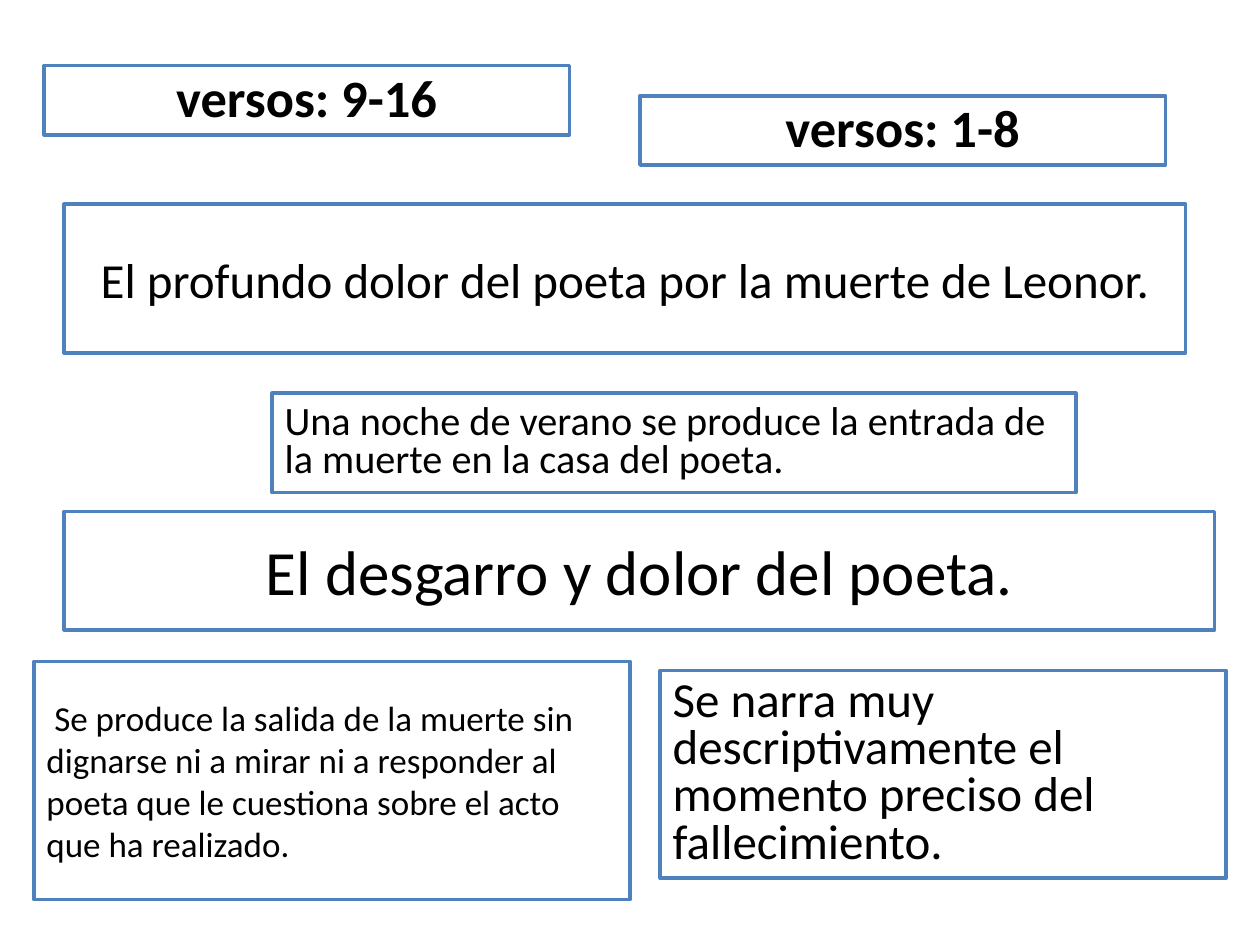
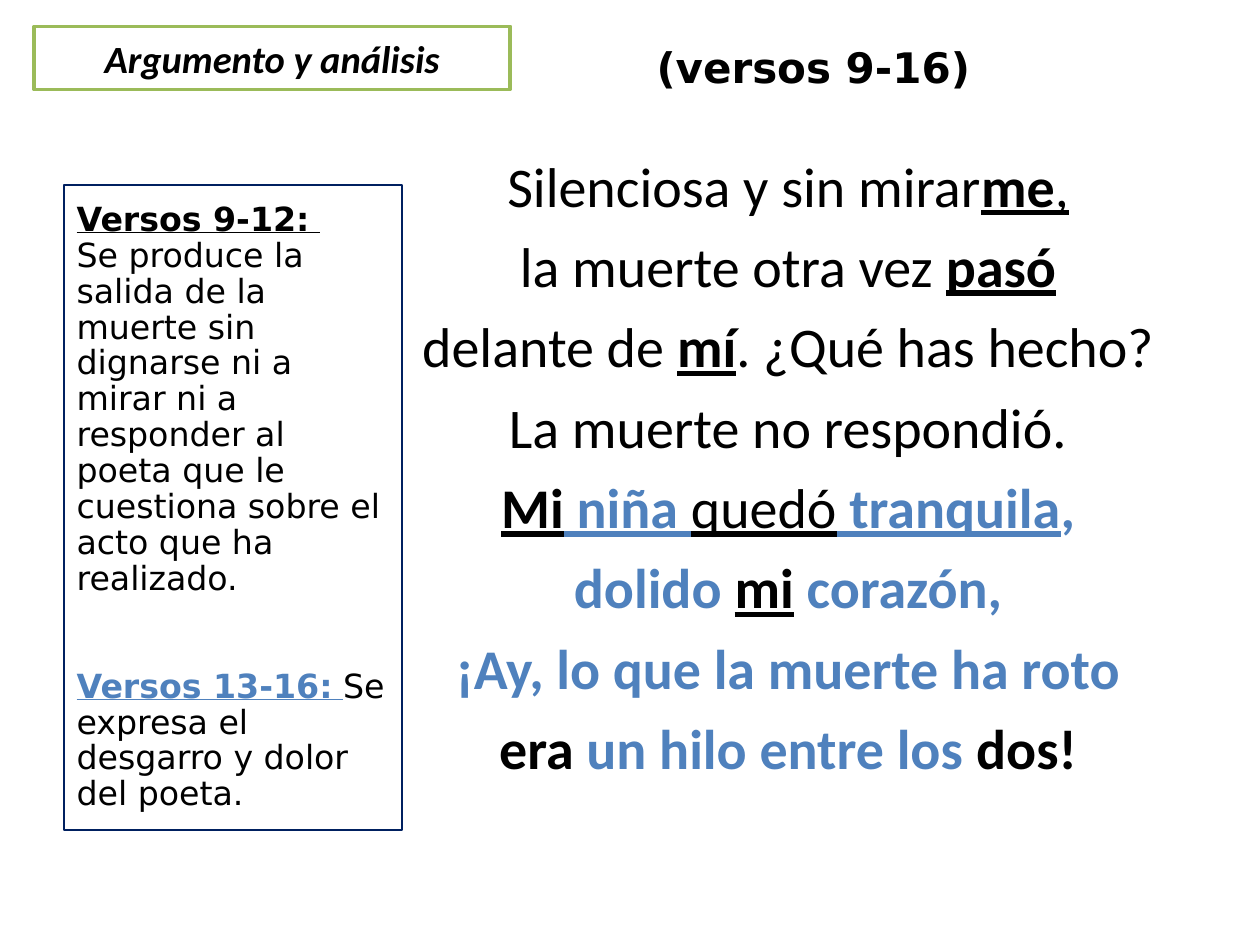
from dataclasses import dataclass

from pptx import Presentation
from pptx.dml.color import RGBColor as RGB
from pptx.enum.shapes import MSO_SHAPE as SHAPE
from pptx.enum.text import MSO_ANCHOR as ANCHOR
from pptx.enum.text import MSO_AUTO_SIZE as FIT
from pptx.enum.text import PP_ALIGN as ALIGN
from pptx.util import Inches, Pt


@dataclass(frozen=True)
class Theme:
    ink: str = "000000"
    paper: str = "FFFFFF"
    blue: str = "4F81BD"
    green: str = "9BBB59"
    navy: str = "002060"
    sans: str = "Calibri"
    wide: str = "DejaVu Sans"
    small: int = 19
    body: int = 20
    title: int = 22
    note: int = 23
    label: int = 24
    large: int = 28
    head: int = 30
    verse: int = 32
    huge: int = 36


THEME = Theme()
WIDTH, HEIGHT = Inches(10), Inches(7.5)
COLS, ROWS = 100, 75
LEFT, MID = ALIGN.LEFT, ALIGN.CENTER


def place(cell):
    """Turn (column, row, columns, rows) into slide lengths."""
    col, row, wide, high = cell
    return (round(WIDTH * col / COLS), round(HEIGHT * row / ROWS),
            round(WIDTH * wide / COLS), round(HEIGHT * high / ROWS))


def apply(target, values):
    for name, value in values.items():
        setattr(target, name, value)


def paint(shape, fill=None, line=None, weight=2):
    if fill:
        shape.fill.solid()
        shape.fill.fore_color.rgb = RGB.from_string(fill)
    else:
        shape.fill.background()
    if line:
        shape.line.color.rgb = RGB.from_string(line)
        shape.line.width = Pt(weight)
    else:
        shape.line.fill.background()


def write(shape, paras, size, face=THEME.sans, marks="", align=LEFT,
          anchor=ANCHOR.MIDDLE, pitch=1.0, gaps=None):
    """Fill a shape; marks are b(old), i(talic), u(nderline), a(ccent)."""
    frame = shape.text_frame
    apply(frame, {"word_wrap": True, "auto_size": FIT.NONE,
                  "vertical_anchor": anchor})
    for index, runs in enumerate(paras):
        para = frame.add_paragraph() if index else frame.paragraphs[0]
        gap = (gaps or {}).get(index, 0)
        apply(para, {"alignment": align, "line_spacing": pitch,
                     "space_before": Pt(gap), "space_after": Pt(0)})
        for text, extra in runs:
            run = para.add_run()
            run.text = text
            style = marks + extra
            apply(run.font, {"name": face, "size": Pt(size),
                             "bold": "b" in style, "italic": "i" in style,
                             "underline": "u" in style})
            tint = THEME.blue if "a" in style else THEME.ink
            run.font.color.rgb = RGB.from_string(tint)


def add_box(slide, cell, paras, size, fill=THEME.paper, line=THEME.blue,
            weight=2, **style):
    box = slide.shapes.add_shape(SHAPE.RECTANGLE, *place(cell))
    box.shadow.inherit = False
    paint(box, fill, line, weight)
    write(box, paras, size, **style)


def add_text(slide, cell, paras, size, fill=None, **style):
    box = slide.shapes.add_textbox(*place(cell))
    paint(box, fill)
    write(box, paras, size, anchor=ANCHOR.TOP, **style)


def add_title(slide, cell, text):
    title = slide.shapes.title
    names = ("left", "top", "width", "height")
    apply(title, dict(zip(names, place(cell))))
    paint(title, THEME.paper, THEME.green)
    write(title, [[(text, "")]], THEME.title, marks="bi", align=MID)


# Summary cards: cell, text, size, format
HEAD = {"marks": "b", "align": MID, "pitch": 0.9}
WIDE = {"align": MID}
TIGHT = {"pitch": 0.8}
CARDS = [
    ((50.8, 7.6, 41.7, 5.5), "versos: 1-8", THEME.head, HEAD),
    ((2.7, 52.5, 47.3, 18.9),
     " Se produce la salida de la muerte sin dignarse ni a mirar ni a "
     "responder al poeta que le cuestiona sobre el acto que ha realizado.",
     THEME.body, {}),
    ((5.1, 16.2, 89, 11.8),
     "El profundo dolor del poeta por la muerte de Leonor.",
     THEME.large, WIDE),
    ((5.1, 40.6, 91.3, 9.4), "El desgarro y dolor del poeta.",
     THEME.huge, WIDE),
    ((21.6, 31.2, 63.8, 7.9),
     "Una noche de verano se produce la entrada de la muerte en la casa "
     "del poeta.", THEME.note, TIGHT),
    ((3.5, 5.2, 41.7, 5.5), "versos: 9-16", THEME.head, HEAD),
    ((52.4, 53.2, 44.9, 16.5),
     "Se narra muy descriptivamente el momento preciso del fallecimiento.",
     THEME.large, TIGHT),
]

# Poem lines as runs of text and marks
POEM = [
    [("Silenciosa y sin mirar", ""), ("me", "bu"), (",", "u")],
    [("la muerte otra vez ", ""), ("pasó", "bu")],
    [("delante de ", ""), ("mí", "bu"), (". ¿Qué has hecho?", "")],
    [("La muerte no respondió.", "")],
    [("Mi", "bu"), (" niña ", "abu"), ("quedó", "u"),
     (" tranquila", "abu"), (",", "ab")],
    [("dolido ", "ab"), ("mi", "bu"), (" corazón,", "ab")],
    [("¡Ay, lo que la muerte ha roto", "ab")],
    [("era ", "b"), ("un hilo entre los ", "ab"), ("dos!", "b")],
]

NOTES = [
    [("Versos 9-12:", "bu"), (" ", "u")],
    [("Se produce la salida de la muerte sin dignarse ni a mirar ni a "
      "responder al poeta que le cuestiona sobre el acto que ha "
      "realizado.", "")],
    [("Versos 13-16:", "abu"), (" ", "au"),
     ("Se expresa el desgarro y dolor del poeta.", "")],
]


def build_cards(deck):
    slide = deck.slides.add_slide(deck.slide_layouts[6])
    for cell, text, size, style in CARDS:
        add_box(slide, cell, [[(text, "")]], size, **style)


def build_poem(deck):
    slide = deck.slides.add_slide(deck.slide_layouts[5])
    add_title(slide, (2.7, 2.1, 37.8, 5), "Argumento y análisis")
    # Poem with even gaps between its lines
    gaps = {row: 7.5 for row in range(1, len(POEM))}
    add_text(slide, (27.9, 11.5, 69.3, 55.1), POEM, THEME.verse,
             fill=THEME.paper, align=MID, gaps=gaps)
    add_text(slide, (50, 2.8, 29.1, 5), [[("(versos 9-16)", "b")]],
             THEME.label, face=THEME.wide, align=MID)
    # Side notes, the last one set apart
    add_box(slide, (5.1, 14.7, 26.8, 51.2), NOTES, THEME.small, fill=None,
            line=THEME.navy, weight=1, face=THEME.wide, pitch=0.9,
            gaps={2: 41})


def main():
    deck = Presentation()
    apply(deck, {"slide_width": WIDTH, "slide_height": HEIGHT})
    build_cards(deck)
    build_poem(deck)
    deck.save("out.pptx")


if __name__ == "__main__":
    main()
